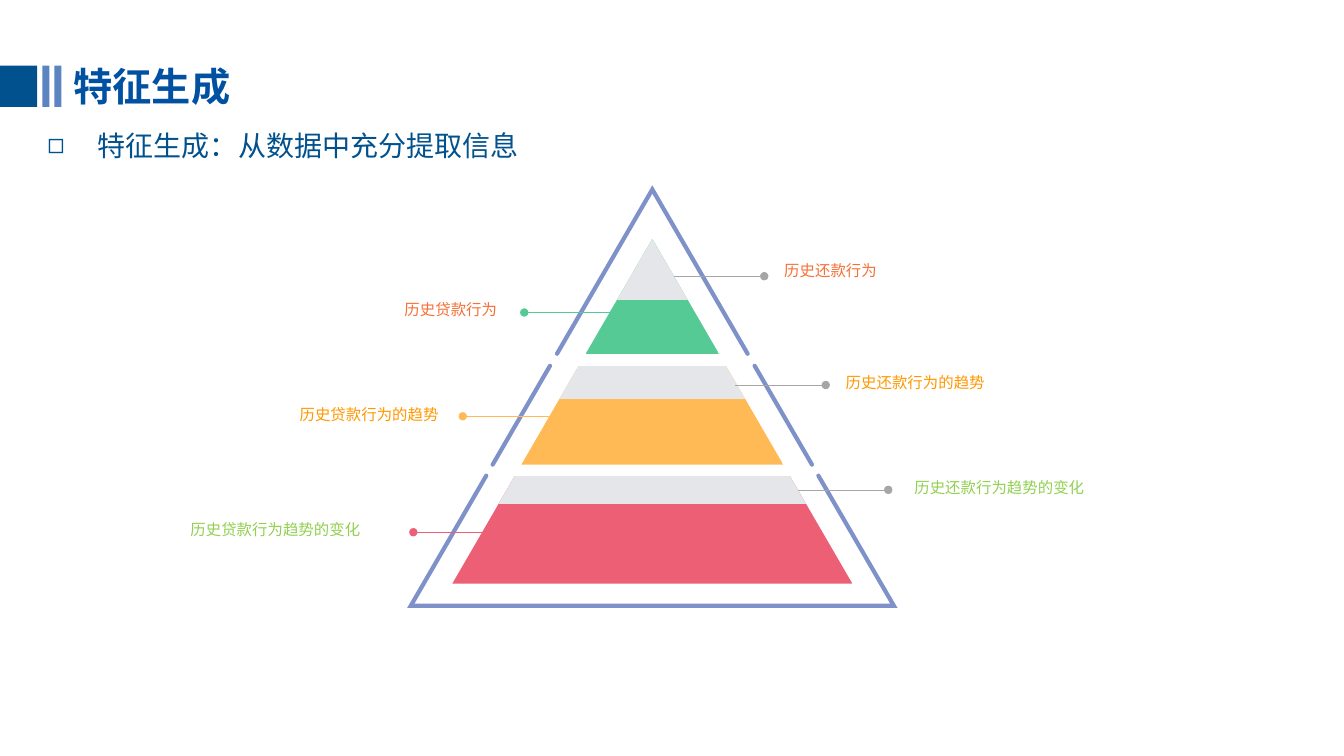
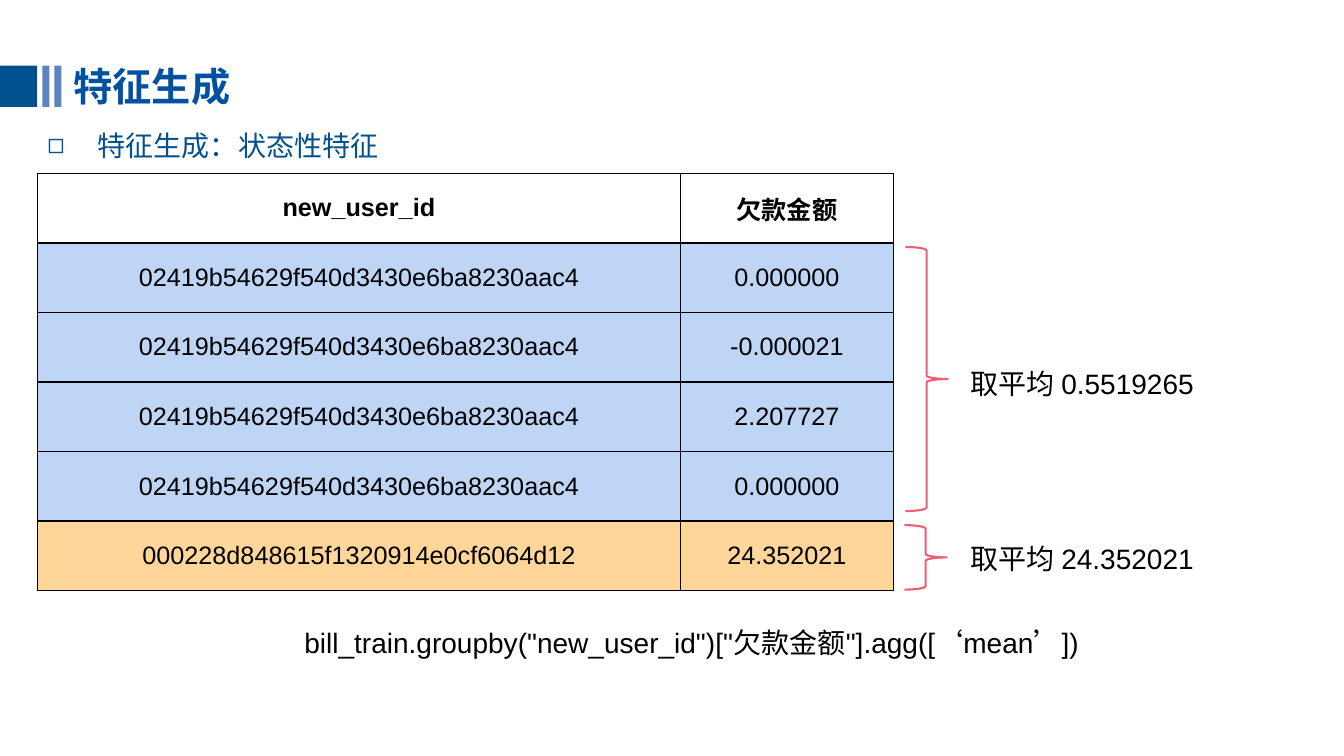
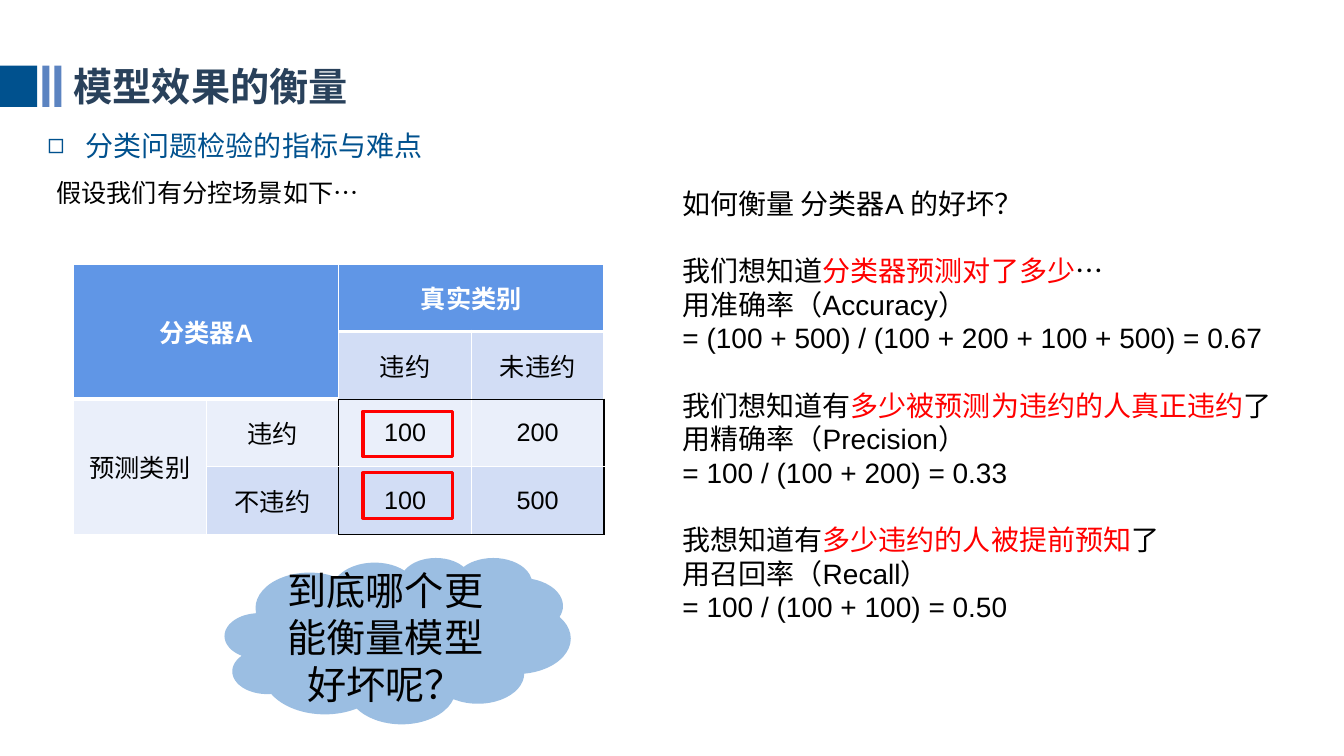
from dataclasses import dataclass

from lxml.etree import SubElement
from pptx import Presentation
from pptx.dml.color import RGBColor
from pptx.enum.shapes import MSO_CONNECTOR, MSO_SHAPE
from pptx.enum.text import MSO_ANCHOR, MSO_AUTO_SIZE, PP_ALIGN
from pptx.oxml import parse_xml
from pptx.oxml.ns import nsdecls, qn
from pptx.util import Inches, Pt


@dataclass(frozen=True)
class Theme:
    font: str = "Arial"
    cjk: str = "Noto Sans CJK SC"
    title_blue: str = "0051A1"
    title_slate: str = "29415B"
    navy: str = "00518E"
    band: str = "5C84C1"
    outline: str = "7E91C8"
    black: str = "000000"
    white: str = "FFFFFF"
    red: str = "FF0000"
    grey: str = "A6A6A6"
    pale: str = "E4E6EA"
    green: str = "56CA95"
    amber: str = "FFBA55"
    rose: str = "EC5F74"
    label_red: str = "F57038"
    label_orange: str = "FF9800"
    label_green: str = "92D050"
    row_blue: str = "BFD5F5"
    row_orange: str = "FFD699"
    head: str = "6096E6"
    light: str = "EAEFFA"
    mid: str = "D2DDF5"
    cloud: str = "9BBEE2"
    big: int = 28
    body: int = 20
    cell: int = 18
    label: int = 11


T = Theme()
LEFT, CENTER, RIGHT = PP_ALIGN.LEFT, PP_ALIGN.CENTER, PP_ALIGN.RIGHT

# ---- Content: shared bands (left, width) ----
BANDS = [(0, 0.37, T.navy), (0.42, 0.07, T.band), (0.54, 0.07, T.band)]

# ---- Content: pyramid ----
CENTER_X, SLOPE = 6.47, 0.58
OUTER_TOP, OUTER_BOTTOM = 1.88, 6.01
TIERS = [  # top, bottom, colour, share of the height that is coloured
    (2.37, 3.51, T.green, 47),
    (3.63, 4.61, T.amber, 66),
    (4.72, 5.79, T.rose, 74),
]
LEADER = 0.9
LEADERS = [  # start x, y, direction, colour
    (6.1, 3.1, -1, T.green), (5.49, 4.13, -1, T.amber), (5, 5.28, -1, T.rose),
    (6.68, 2.74, 1, T.grey), (7.29, 3.82, 1, T.grey), (7.91, 4.86, 1, T.grey),
]
LABELS = [  # text, left, top, width, alignment, colour
    ("历史还款行为", 7.68, 2.53, 1.47, LEFT, T.label_red),
    ("历史还款行为的趋势", 8.29, 3.64, 2.13, LEFT, T.label_orange),
    ("历史还款行为趋势的变化", 8.97, 4.69, 2.58, LEFT, T.label_green),
    ("历史贷款行为", 3.56, 2.92, 1.47, RIGHT, T.label_red),
    ("历史贷款行为的趋势", 2.31, 3.96, 2.14, RIGHT, T.label_orange),
    ("历史贷款行为趋势的变化", 1.79, 5.1, 2.42, LEFT, T.label_green),
]

# ---- Content: user table ----
USER = "02419b54629f540d3430e6ba8230aac4"
BILLS = [
    ("new_user_id", "欠款金额"),
    (USER, "0.000000"),
    (USER, "-0.000021"),
    (USER, "2.207727"),
    (USER, "0.000000"),
    ("000228d848615f1320914e0cf6064d12", "24.352021"),
]
BILL_FILLS = [None] + [T.row_blue] * 4 + [T.row_orange]
AVERAGES = [  # brace left, top, height, text, text top
    (8.98, 2.45, 2.62, "取平均 0.5519265", 3.57),
    (8.97, 5.21, 0.64, "取平均 24.352021", 5.31),
]
CODE = 'bill_train.groupby("new_user_id")["欠款金额"].agg([‘mean’])'

# ---- Content: confusion matrix and metrics ----
MATRIX = [
    ("分类器A", "", "真实类别", ""),
    ("", "", "违约", "未违约"),
    ("预测类别", "违约", "100", "200"),
    ("", "不违约", "100", "500"),
]
MATRIX_FILLS = [
    [T.head] * 4,
    [T.head, T.head, T.mid, T.mid],
    [T.light] * 4,
    [T.light, T.mid, T.mid, T.mid],
]
MERGES = [((0, 0), (1, 1)), ((0, 2), (0, 3)), ((2, 0), (3, 0))]
METRICS = [  # each block: lines of runs; every second run is highlighted
    [["如何衡量 分类器A 的好坏？"]],
    [["我们想知道", "分类器预测对了多少", "…"], ["用准确率（Accuracy）"],
     ["= (100 + 500) / (100 + 200 + 100 + 500) = 0.67"]],
    [["我们想知道有", "多少被预测为违约的人真正违约", "了"], ["用精确率（Precision）"],
     ["= 100 / (100 + 200) = 0.33"]],
    [["我想知道有", "多少违约的人被提前预知", "了"], ["用召回率（Recall）"],
     ["= 100 / (100 + 100) = 0.50"]],
]


# ---- Helpers ----
def rgb(value):
    return RGBColor.from_string(value)


def place(shape, left, top, width, height):
    shape.left, shape.top = Inches(left), Inches(top)
    shape.width, shape.height = Inches(width), Inches(height)


def style_run(r, size, color, bold=False, font=T.font):
    r.font.size, r.font.bold, r.font.name = Pt(size), bold, font
    r.font.color.rgb = rgb(color)
    SubElement(r.font._element, qn("a:ea")).set("typeface", T.cjk)


def style_paragraph(p, size, color, align=LEFT, spacing=None, **run_style):
    p.alignment = align
    p.space_before = Pt(0)
    if spacing:
        p.line_spacing = Pt(size * spacing)
    for r in p.runs:
        style_run(r, size, color, **run_style)


def add_text(s, text, left, top, width, height, size, color=T.black, align=LEFT):
    tf = s.shapes.add_textbox(*map(Inches, (left, top, width, height))).text_frame
    tf.word_wrap = True
    tf.text = text
    style_paragraph(tf.paragraphs[0], size, color, align, 1.25)


def add_shape(s, kind, left, top, width, height, fill=None, line=None, weight=1):
    shape = s.shapes.add_shape(kind, *map(Inches, (left, top, width, height)))
    paint(shape, fill, line, weight)
    return shape


def paint(shape, fill, line, weight=1):
    shape.shadow.inherit = False
    if fill:
        shape.fill.solid()
        shape.fill.fore_color.rgb = rgb(fill)
    else:
        shape.fill.background()
    if line:
        shape.line.color.rgb = rgb(line)
        shape.line.width = Pt(weight)
    else:
        shape.line.fill.background()


def add_slide(prs, title, bullet, indent=0.5, title_color=T.title_blue):
    s = prs.slides.add_slide(prs.slide_layouts[1])
    for left, width, color in BANDS:
        add_shape(s, MSO_SHAPE.RECTANGLE, left, 0.65, width, 0.41, color)

    head, body = s.placeholders
    place(head, 0.63, 0.57, 5.46, 0.57)
    place(body, 0.37, 1.14, 12.13, 0.47)
    for holder, text, anchor in ((head, title, MSO_ANCHOR.MIDDLE),
                                 (body, bullet, MSO_ANCHOR.TOP)):
        tf = holder.text_frame
        tf.text = text
        tf.auto_size = MSO_AUTO_SIZE.NONE
        tf.vertical_anchor = anchor
    style_paragraph(head.text_frame.paragraphs[0], T.big, title_color,
                    bold=True, font=T.cjk)

    p = body.text_frame.paragraphs[0]
    pPr = p._p.get_or_add_pPr()
    pPr.set("marL", str(Inches(indent)))
    pPr.set("indent", str(-Inches(indent)))
    SubElement(pPr, qn("a:buChar")).set("char", "◻")
    style_paragraph(p, T.body, T.navy, spacing=1.5)
    return s


def add_table(s, rows, fills, left, top, widths, row_height, edge, head_color):
    """edge(row, column, side) gives the colour and weight of a border."""
    frame = s.shapes.add_table(len(rows), len(widths), Inches(left), Inches(top),
                               Inches(sum(widths)), Inches(row_height * len(rows)))
    table = frame.table
    table.first_row = table.horz_banding = False
    for column, width in zip(table.columns, widths):
        column.width = Inches(width)
    for i, row in enumerate(rows):
        for j, text in enumerate(row):
            cell = table.cell(i, j)
            cell.text = text
            cell.vertical_anchor = MSO_ANCHOR.MIDDLE
            is_head = i == 0
            style_paragraph(cell.text_frame.paragraphs[0], T.cell,
                            head_color if is_head else T.black, CENTER, bold=is_head)
            for side in "LRTB":
                color, weight = edge(i, j, side)
                cell._tc.get_or_add_tcPr().append(parse_xml(
                    f'<a:ln{side} {nsdecls("a")} w="{Pt(weight)}"><a:solidFill>'
                    f'<a:srgbClr val="{color}"/></a:solidFill></a:ln{side}>'))
            fill = fills[i][j]
            if fill:
                cell.fill.solid()
                cell.fill.fore_color.rgb = rgb(fill)
            else:
                cell.fill.background()
    return table


# ---- Pyramid parts ----
def sides(y, apex):
    """Left and right points of a triangle's sides at height y."""
    half = (y - apex) * SLOPE
    return [(Inches(CENTER_X + d * half), Inches(y)) for d in (-1, 1)]


def add_tier(s, top, bottom, color, share):
    apex = TIERS[0][0]
    (tl, tr), (bl, br) = sides(top, apex), sides(bottom, apex)
    builder = s.shapes.build_freeform(*tl)
    builder.add_line_segments([tr, br, bl], close=True)
    tier = builder.convert_to_shape()
    paint(tier, None, None)
    tier.fill.gradient()
    tier.fill.gradient_angle = 90
    stops = tier._element.spPr.find(qn("a:gradFill")).find(qn("a:gsLst"))
    for stop in list(stops):
        stops.remove(stop)
    for pos, value in ((0, color), (share, color), (share, T.pale), (100, T.pale)):
        stop = SubElement(stops, qn("a:gs"))
        stop.set("pos", str(pos * 1000))
        SubElement(stop, qn("a:srgbClr")).set("val", value)


def add_outline(s):
    def at(y):
        return sides(y, OUTER_TOP)

    (_, b1, _, _), (t2, b2, _, _), (t3, _, _, _) = TIERS
    contours = [
        [at(b1)[0], at(OUTER_TOP)[0], at(b1)[1]],
        [at(t2)[0], at(b2)[0]],
        [at(t2)[1], at(b2)[1]],
        [at(t3)[0], *at(OUTER_BOTTOM), at(t3)[1]],
    ]
    builder = s.shapes.build_freeform(*contours[0][0])
    for n, (start, *rest) in enumerate(contours):
        if n:
            builder.move_to(*start)
        builder.add_line_segments(rest, close=False)
    outline = builder.convert_to_shape()
    paint(outline, None, T.outline, 3)
    ln = outline.line._get_or_add_ln()
    ln.set("cap", "rnd")
    SubElement(ln, qn("a:miter")).set("lim", "800000")


def add_leader(s, x, y, direction, color):
    line = s.shapes.add_connector(MSO_CONNECTOR.STRAIGHT, Inches(x), Inches(y),
                                  Inches(x + direction * LEADER), Inches(y))
    line.line.color.rgb = rgb(color)
    line.line.width = Pt(0.5)
    SubElement(line.line._get_or_add_ln(), qn("a:tailEnd")).set("type", "oval")
    SubElement(line._element.spPr, qn("a:effectLst"))


# ---- Slides ----
def pyramid_slide(prs):
    s = add_slide(prs, "特征生成", "特征生成：从数据中充分提取信息")
    for tier in TIERS:
        add_tier(s, *tier)
    add_outline(s)
    for leader in LEADERS:
        add_leader(s, *leader)
    for text, left, top, width, align, color in LABELS:
        add_text(s, text, left, top, width, 0.35, T.label, color, align)


def bills_slide(prs):
    s = add_slide(prs, "特征生成", "特征生成：状态性特征")
    add_table(s, BILLS, [[fill] * 2 for fill in BILL_FILLS], 0.37, 1.72,
              [6.38, 2.11], 0.69, lambda i, j, side: (T.black, 1), T.black)
    for left, top, height, text, text_top in AVERAGES:
        add_shape(s, MSO_SHAPE.RIGHT_BRACE, left, top, 0.42, height,
                  line=T.rose, weight=1.5)
        add_text(s, text, 9.53, text_top, 3.35, 0.44, T.body)
    add_text(s, CODE, 2.92, 6.14, 9.95, 0.44, T.body)


def matrix_edge(i, j, side):
    """Black frame round the four counts, thick white line under the header."""
    x, y = j + (side == "R"), i + (side == "B")
    if side in "LR":
        framed = i >= 2 and x in (2, 4)
    else:
        framed = j >= 2 and y in (2, 4)
    if framed:
        return T.black, 1
    return T.white, 3 if side in "TB" and y == 1 else 1


def metrics_slide(prs):
    s = add_slide(prs, "模型效果的衡量", "分类问题检验的指标与难点", 0.38, T.title_slate)
    add_text(s, "假设我们有分控场景如下…", 0.46, 1.7, 4.98, 0.4, T.cell)
    table = add_table(s, MATRIX, MATRIX_FILLS, 0.73, 2.62, [1.315] * 4, 0.67,
                      matrix_edge, T.white)
    for first, last in MERGES:
        table.cell(*first).merge(table.cell(*last))

    # Metrics, blocks set apart by one line of space
    tf = s.shapes.add_textbox(*map(Inches, (6.67, 1.8, 6.13, 4.48))).text_frame
    tf.word_wrap = True
    p = tf.paragraphs[0]
    for b, block in enumerate(METRICS):
        for n, line in enumerate(block):
            if b or n:
                p = tf.add_paragraph()
            for k, text in enumerate(line):
                r = p.add_run()
                r.text = text
                style_run(r, T.body, T.red if k % 2 else T.black)
            p.line_spacing = Pt(T.body * 1.2)
            p.space_before = Pt(T.body * 1.2 if b and n == 0 else 0)

    # Marked counts and the question
    for top in (4.08, 4.69):
        add_shape(s, MSO_SHAPE.RECTANGLE, 3.6, top, 0.89, 0.45, line=T.red, weight=2.25)
    cloud = add_shape(s, MSO_SHAPE.CLOUD, 2.23, 5.53, 3.43, 1.65, T.cloud)
    tf = cloud.text_frame
    tf.word_wrap = True
    tf.vertical_anchor = MSO_ANCHOR.MIDDLE
    tf.text = "到底哪个更能衡量模型好坏呢？"
    style_paragraph(tf.paragraphs[0], T.big, T.black, CENTER, 1.2)


def main():
    prs = Presentation()
    prs.slide_width, prs.slide_height = Inches(13.33), Inches(7.5)
    pyramid_slide(prs)
    bills_slide(prs)
    metrics_slide(prs)
    prs.save("out.pptx")


if __name__ == "__main__":
    main()
